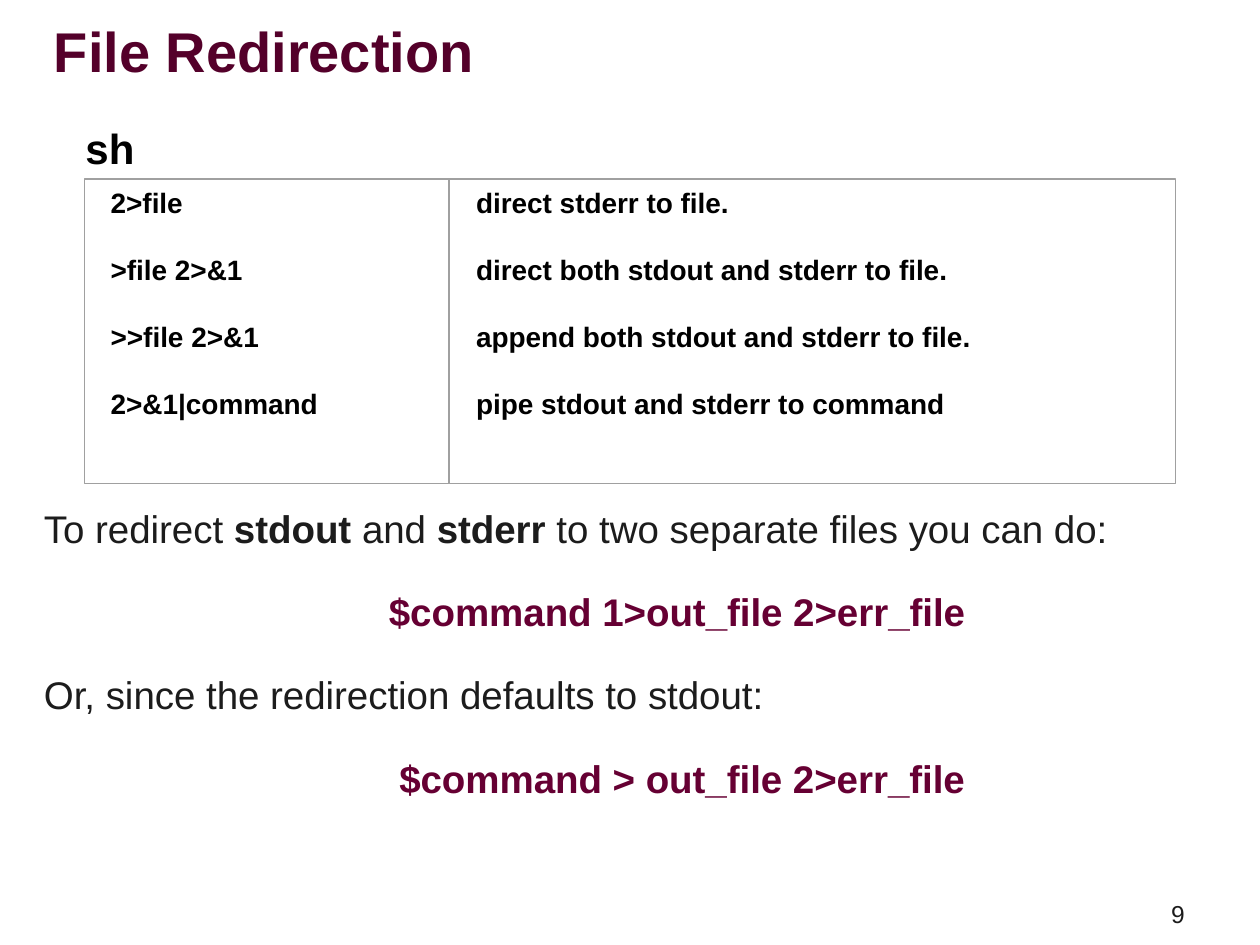
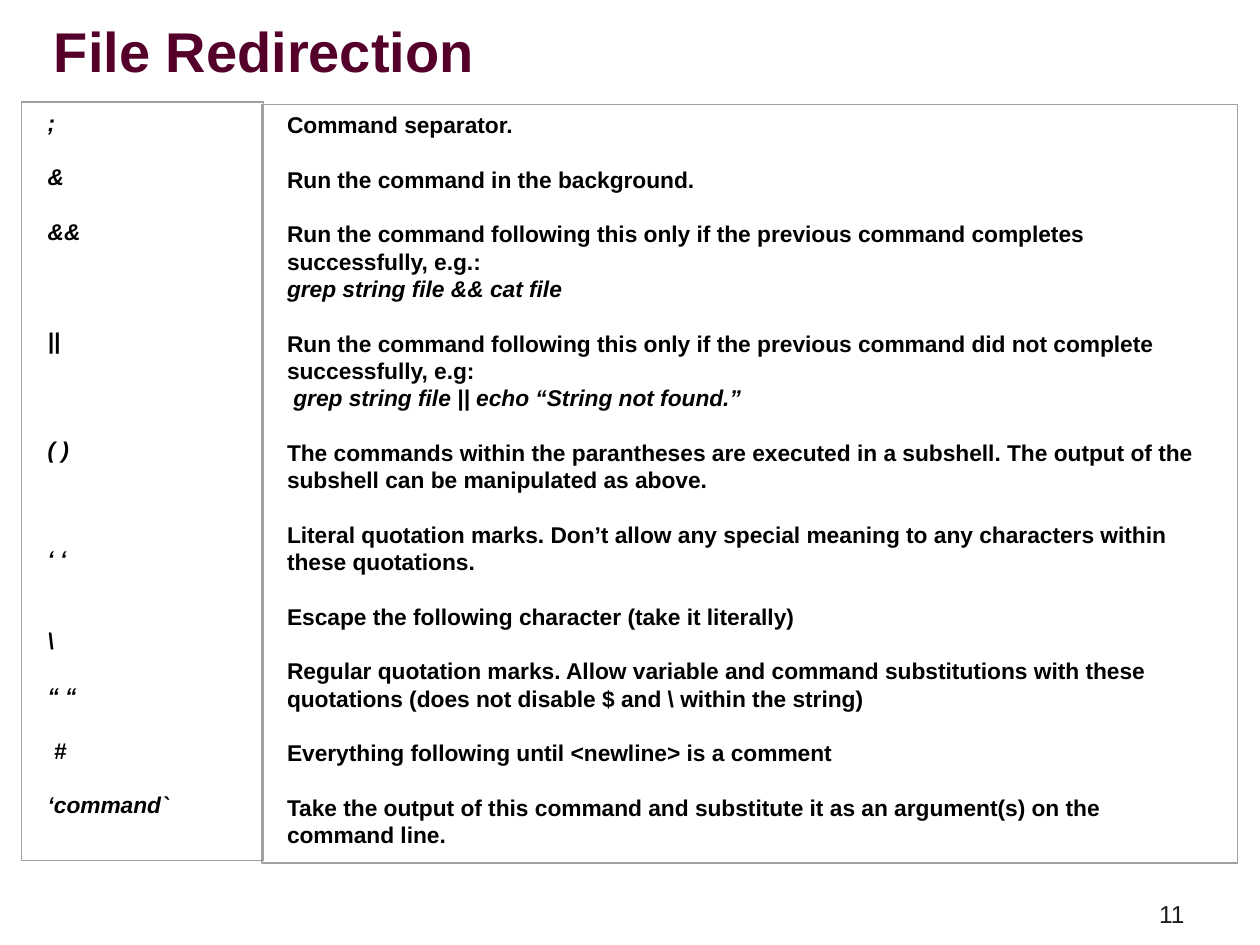
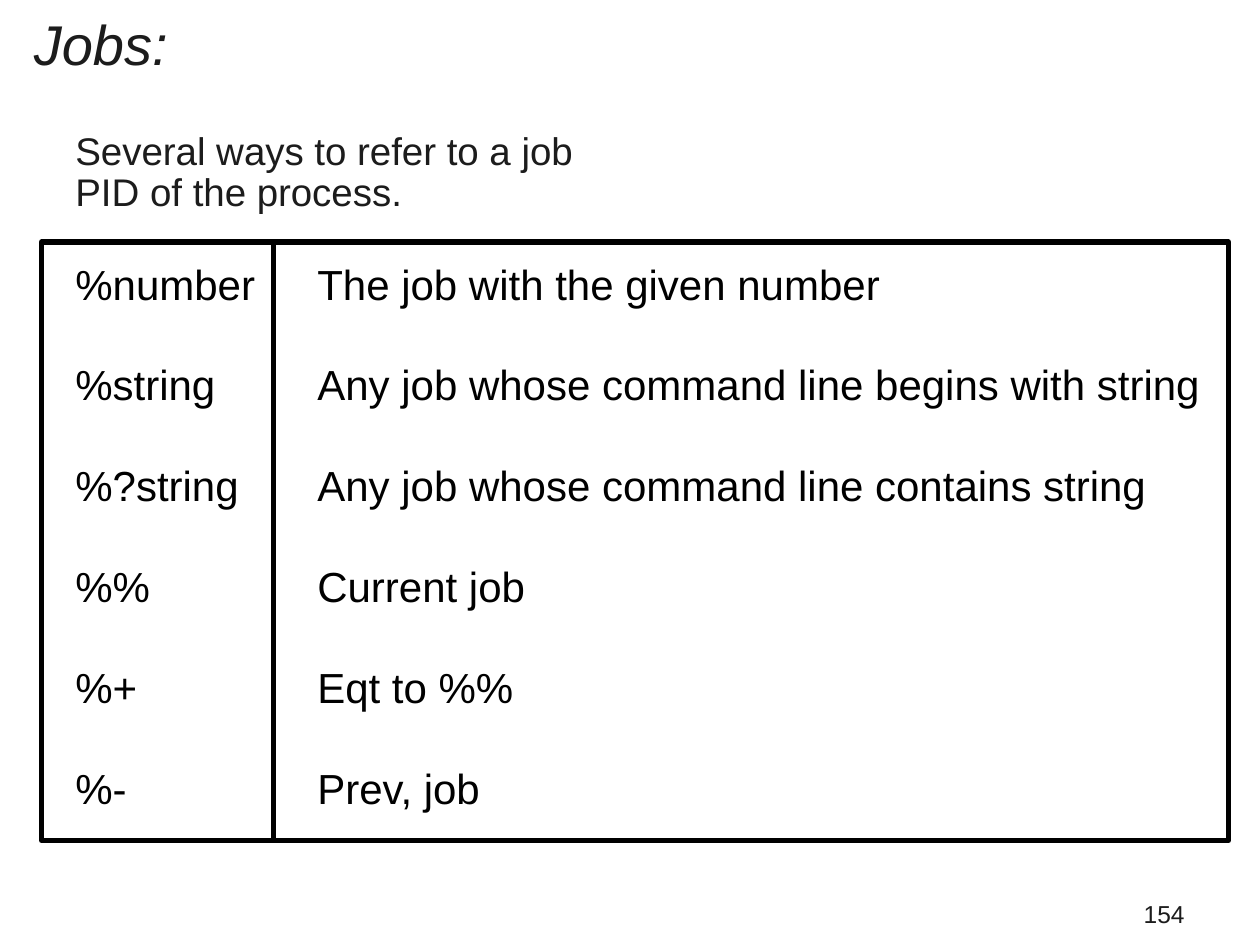
from dataclasses import dataclass

from lxml import etree
from pptx import Presentation
from pptx.dml.color import RGBColor
from pptx.enum.shapes import MSO_CONNECTOR, MSO_SHAPE
from pptx.enum.text import MSO_ANCHOR, PP_ALIGN
from pptx.oxml.ns import qn
from pptx.slide import Slide
from pptx.util import Emu, Pt

PX = 9144  # 100 px to the inch
LEFT, MID, RIGHT, FULL = PP_ALIGN.LEFT, PP_ALIGN.CENTER, PP_ALIGN.RIGHT, PP_ALIGN.JUSTIFY
TOP, BASE = MSO_ANCHOR.TOP, MSO_ANCHOR.BOTTOM
RECT, LINE = MSO_SHAPE.RECTANGLE, MSO_CONNECTOR.STRAIGHT


@dataclass(frozen=True)
class Theme:
    font: str = "Arial"
    ink: str = "1C1C1C"
    black: str = "000000"
    wine: str = "54002A"
    plum: str = "660033"
    grey: str = "A0A0A0"
    title: int = 32
    large: int = 24
    body: int = 22
    table: int = 16
    foot: int = 14
    small: int = 13
    pitch: float = 1.2  # line height per point of type
    tight: float = 0.9


THEME = Theme()


@dataclass(frozen=True)
class Box:
    left: int
    top: int
    width: int
    height: int

    def emu(self) -> tuple[Emu, ...]:
        return tuple(Emu(n * PX) for n in (self.left, self.top, self.width, self.height))


@dataclass(frozen=True)
class Style:
    size: int
    color: str = THEME.black
    bold: bool = False
    slant: bool = False
    align: PP_ALIGN = LEFT
    space: float = 1.0
    anchor: MSO_ANCHOR = TOP


@dataclass(frozen=True)
class Para:
    """A paragraph; *stars* mark bold words, gap counts empty lines above."""
    text: str
    gap: int = 0
    lead: int = 0
    style: Style | None = None


HEAD = Style(THEME.title, THEME.wine, bold=True)
JOBS = Style(THEME.title, THEME.ink, slant=True, anchor=BASE)
FOOT = Style(THEME.foot, THEME.ink, align=RIGHT, anchor=BASE)
BODY = Style(THEME.body, THEME.ink, align=FULL, space=THEME.tight)
SHELL = Style(THEME.body, THEME.plum, bold=True, align=MID, space=THEME.tight)
LABEL = Style(THEME.large, bold=True)
CELL = Style(THEME.table, bold=True, align=FULL)
SIGN = Style(THEME.small, bold=True, slant=True)
NOTE = Style(THEME.small, bold=True)
TERM = Style(THEME.large, align=FULL)
SENSE = Style(THEME.large)

HEAD_BOX = Box(33, 8, 533, 64)
FOOT_BOX = Box(742, 692, 208, 50)


def spread(*texts: str) -> list[Para]:
    """Paragraphs with one empty line's height between them."""
    return [Para(text, gap=min(i, 1)) for i, text in enumerate(texts)]


REDIRECTS = spread("2>file", ">file 2>&1", ">>file 2>&1", "2>&1|command")
EFFECTS = spread(
    "direct stderr to file.",
    "direct both stdout and stderr to file.",
    "append both stdout and stderr to file.",
    "pipe stdout and stderr to command",
)
SPLIT = [
    Para("To redirect *stdout* and *stderr* to two separate files you can do:"),
    Para("$command 1>out_file 2>err_file", 1, 50, SHELL),
    Para("Or, since the redirection defaults to stdout:", 1),
    Para("$command > out_file 2>err_file", 1, 58, SHELL),
]
SIGNS = [
    Para(";"),
    Para("&", 1),
    Para("&&", 1),
    Para("||", 3),
    Para("( )", 3),
    Para("‘ ‘", 3),
    Para("\\", 2),
    Para("“ “", 1),
    Para("#", 1, 5),
    Para("‘command`", 1),
]
NOTES = [
    Para("Command separator."),
    Para("Run the command in the background.", 1),
    Para("Run the command following this only if the previous command completes "
         "successfully, e.g.:", 1),
    Para("grep string file && cat file", style=SIGN),
    Para("Run the command following this only if the previous command did not complete "
         "successfully, e.g:", 1),
    Para("grep string file || echo “String not found.”", lead=5, style=SIGN),
    Para("The commands within the parantheses are executed in a subshell. "
         "The output of the subshell can be manipulated as above.", 1),
    Para("Literal quotation marks. Don’t allow any special meaning to any characters "
         "within these quotations.", 1),
    Para("Escape the following character (take it literally)", 1),
    Para("Regular quotation marks. Allow variable and command substitutions with these "
         "quotations (does not disable $ and \\ within the string)", 1),
    Para("Everything following until <newline> is a comment", 1),
    Para("Take the output of this command and substitute it as an argument(s) on the "
         "command line.", 1),
]
WAYS = [Para("Several ways to refer to a job"), Para("PID of the process.")]
TERMS = spread("%number", "%string", "%?string", "%%", "%+", "%-")
SENSES = spread(
    "The job with the given number",
    "Any job whose command line begins with string",
    "Any job whose command line contains string",
    "Current job",
    "Eqt to %%",
    "Prev, job",
)


def write(slide: Slide, box: Box, style: Style, paras: list[Para]) -> None:
    frame = slide.shapes.add_textbox(*box.emu()).text_frame
    frame.word_wrap = True
    frame.vertical_anchor = style.anchor
    for i, para in enumerate(paras):
        look = para.style or style
        line = frame.paragraphs[0] if i == 0 else frame.add_paragraph()
        line.alignment = look.align
        line.line_spacing = look.space
        if para.gap:
            line.space_before = Pt(round(para.gap * look.size * THEME.pitch * look.space, 1))
        if para.lead:
            line._p.get_or_add_pPr().set("marL", str(para.lead * PX))
        font = line.font
        font.name, font.size = THEME.font, Pt(look.size)
        font.bold, font.italic = look.bold, look.slant
        font.color.rgb = RGBColor.from_string(look.color)
        for j, text in enumerate(para.text.split("*")):
            run = line.add_run()
            run.text = text
            if j % 2:
                run.font.bold = True


def frame(slide: Slide, box: Box, color: str, weight: int) -> None:
    shape = slide.shapes.add_shape(RECT, *box.emu())
    shape.shadow.inherit = False
    shape.fill.background()
    shape.line.color.rgb = RGBColor.from_string(color)
    shape.line.width = Pt(weight)


def rule(slide: Slide, x: int, top: int, end: int, color: str, weight: int) -> None:
    """An upright line."""
    line = slide.shapes.add_connector(LINE, *(Emu(n * PX) for n in (x, top, x, end)))
    line.line.color.rgb = RGBColor.from_string(color)
    line.line.width = Pt(weight)
    etree.SubElement(line._element.spPr, qn("a:effectLst"))


def column(slide: Slide, box: Box, inset: int, style: Style, paras: list[Para]) -> None:
    """A column of text inside a thin grey frame."""
    inner = Box(box.left + inset, box.top, box.width - 2 * inset, box.height)
    write(slide, inner, style, paras)
    frame(slide, box, THEME.grey, 0)


def begin(deck: Presentation, number: int) -> Slide:
    slide = deck.slides.add_slide(deck.slide_layouts[6])
    write(slide, FOOT_BOX, FOOT, [Para(str(number))])
    return slide


def errors(deck: Presentation) -> None:
    slide = begin(deck, 9)
    write(slide, Box(25, 400, 975, 242), BODY, SPLIT)
    column(slide, Box(67, 142, 290, 242), 11, CELL, REDIRECTS)
    column(slide, Box(356, 142, 577, 242), 12, CELL, EFFECTS)
    write(slide, Box(58, 92, 142, 50), LABEL, [Para("sh")])
    write(slide, HEAD_BOX, HEAD, [Para("File Redirection")])


def symbols(deck: Presentation) -> None:
    slide = begin(deck, 11)
    column(slide, Box(17, 81, 192, 602), 11, SIGN, SIGNS)
    column(slide, Box(208, 83, 774, 602), 10, NOTE, NOTES)
    write(slide, HEAD_BOX, HEAD, [Para("File Redirection")])


def jobs(deck: Presentation) -> None:
    slide = begin(deck, 154)
    write(slide, Box(17, 8, 750, 58), JOBS, [Para("Jobs:")])
    write(slide, Box(50, 100, 850, 83), BODY, WAYS)
    write(slide, Box(50, 200, 200, 200), TERM, TERMS)
    write(slide, Box(242, 200, 733, 200), SENSE, SENSES)
    grid = Box(33, 192, 942, 475)
    frame(slide, grid, THEME.black, 3)
    rule(slide, 217, grid.top, grid.top + grid.height, THEME.black, 3)


def main() -> None:
    deck = Presentation()
    deck.slide_width, deck.slide_height = Emu(1000 * PX), Emu(750 * PX)
    for build in (errors, symbols, jobs):
        build(deck)
    deck.save("out.pptx")


if __name__ == "__main__":
    main()
